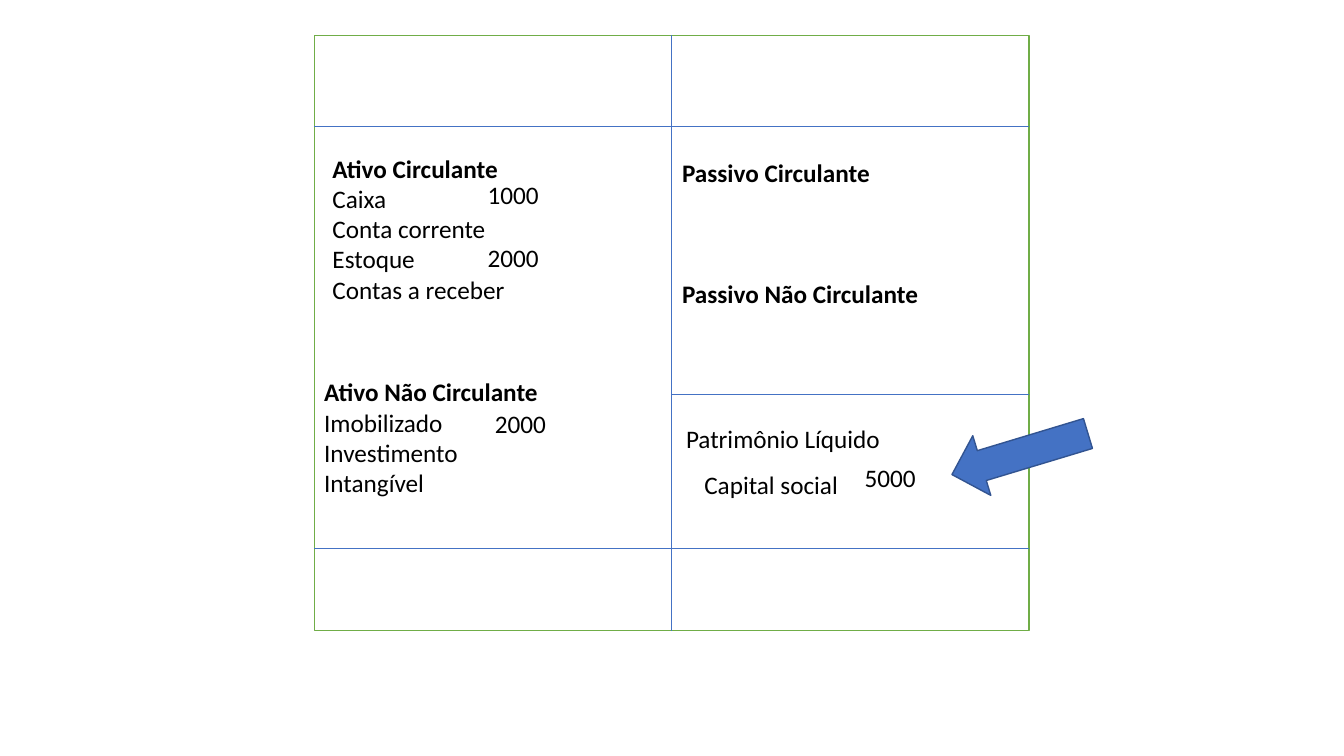
import pptx
import pptx.dml.color
import pptx.enum.shapes
import pptx.enum.text
import pptx.oxml.ns
import pptx.util
from lxml import etree

Cm = pptx.util.Cm
Pt = pptx.util.Pt
SHAPE = pptx.enum.shapes.MSO_SHAPE


def color(hex_str):
    return pptx.dml.color.RGBColor.from_string(hex_str)


def write(p, text, bold=False, before=0, size=18, font="Calibri", ink="000000"):
    p.space_before = Pt(before)
    r = p.add_run()
    r.text = text
    r.font.name = font
    r.font.size = Pt(size)
    r.font.bold = bold
    r.font.color.rgb = color(ink)


class BalanceSlide:
    blue = "4472C4"
    green = "70AD47"
    dark_blue = "325491"
    white = "FFFFFF"

    def __init__(self, prs):
        self.s = prs.slides.add_slide(prs.slide_layouts[6])

    def shape(self, kind, x, y, w, h, fill, line, rotation=0):
        sp = self.s.shapes.add_shape(kind, Cm(x), Cm(y), Cm(w), Cm(h))
        sp.shadow.inherit = False
        sp.fill.solid()
        sp.fill.fore_color.rgb = color(fill)
        sp.line.color.rgb = color(line)
        sp.line.width = Pt(1)
        sp.rotation = rotation
        return sp

    def line(self, x1, y1, x2, y2):
        cn = self.s.shapes.add_connector(
            pptx.enum.shapes.MSO_CONNECTOR.STRAIGHT, Cm(x1), Cm(y1), Cm(x2), Cm(y2))
        cn.line.color.rgb = color(self.blue)
        cn.line.width = Pt(0.5)
        etree.SubElement(cn._element.spPr, pptx.oxml.ns.qn("a:effectLst"))
        return cn

    def text(self, x, y, w, h, *rows):
        tf = self.s.shapes.add_textbox(Cm(x), Cm(y), Cm(w), Cm(h)).text_frame
        tf.word_wrap = False
        tf.auto_size = pptx.enum.text.MSO_AUTO_SIZE.SHAPE_TO_FIT_TEXT
        for i, (label, style) in enumerate(rows):
            p = tf.add_paragraph() if i else tf.paragraphs[0]
            write(p, label, **style)

    def accounts(self, x, y, w, h, heading, *items):
        self.text(x, y, w, h, (heading, {"bold": True}), *((item, {}) for item in items))


def main():
    prs = pptx.Presentation()
    prs.slide_width, prs.slide_height = Cm(33.87), Cm(19.05)
    slide = BalanceSlide(prs)

    left, top, width, height = 7.92, 0.89, 18.01, 15
    right, middle = left + width, left + width / 2
    frame = slide.shape(SHAPE.RECTANGLE, left, top, width, height, slide.white, slide.green)
    divider = slide.line(middle, top, middle, top + height)
    divider.begin_connect(frame, 0)
    divider.end_connect(frame, 2)
    for start, y in ((left, 3.18), (left, 13.82), (middle, 9.93)):
        slide.line(start, y, right, y)

    slide.accounts(8.13, 3.73, 4.9, 4.11, "Ativo Circulante",
                   "Caixa", "Conta corrente", "Estoque", "Contas a receber")
    slide.accounts(left, 9.37, 5.94, 3.33, "Ativo Não Circulante",
                   "Imobilizado", "Investimento", "Intangível")
    slide.text(16.94, 3.84, 6.5, 4.11,
               ("Passivo Circulante", {"bold": True}),
               ("Passivo Não Circulante", {"bold": True, "before": 65}))
    slide.text(17.04, 10.54, 5.46, 1.02, ("Patrimônio Líquido", {}))
    slide.text(17.5, 11.71, 4.06, 1.02, ("Capital social", {}))

    slide.shape(SHAPE.UP_ARROW, 24.92, 9.65, 1.57, 3.58,
                slide.blue, slide.dark_blue, rotation=253.2)

    for x, y, amount in ((12.22, 10.16, "2000"), (12.04, 4.39, "1000"),
                         (21.54, 11.53, "5000"), (12.04, 5.97, "2000")):
        slide.text(x, y, 1.8, 1.02, (amount, {}))

    prs.save("out.pptx")


if __name__ == "__main__":
    main()
